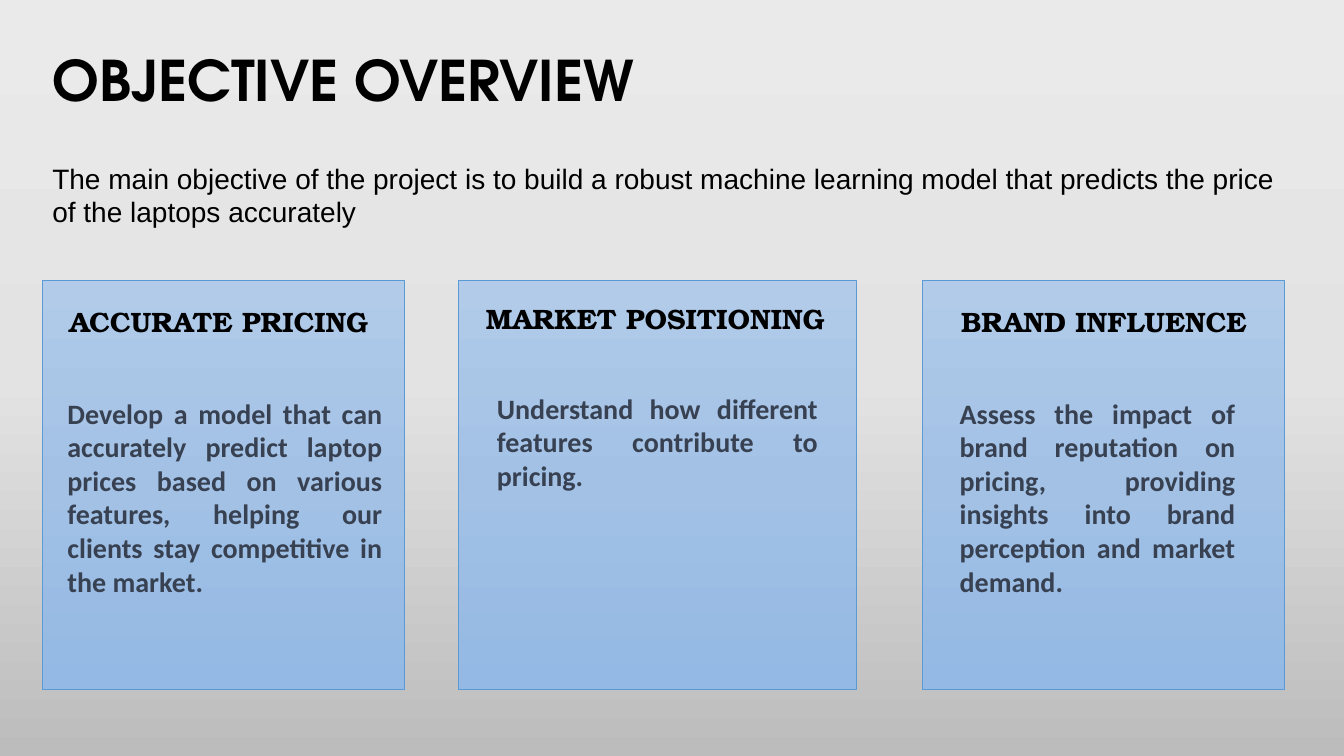
from copy import deepcopy

from pptx import Presentation
from pptx import util as u
from pptx.dml.color import RGBColor
from pptx.enum import shapes, text
from pptx.oxml.ns import qn


def color(value):
    return RGBColor.from_string(value)


class Deck:
    """Holds the style and the current slide."""

    BACKGROUND = ("EBEAEA", "E4E3E3", "BDBCBC")
    CARD = ("B1CBE9", "A3C1E5", "93B9E4")
    BORDER, INK, BODY = "5B9BD5", "000000", "374151"
    TITLE_FONT, INTRO_FONT = "TeX Gyre Adventor", "Arial"
    HEADING_FONT, BODY_FONT = "TeX Gyre Bonum", "Calibri"

    def __init__(self, prs):
        self.s = prs.slides.add_slide(prs.slide_layouts[6])

    def gradient(self, fill, element, colors):
        """Fill from top to bottom with three evenly spaced colours."""
        fill.gradient()
        fill.gradient_angle = 270
        stops = next(element.iter(qn("a:gsLst")))
        stops.insert(1, deepcopy(stops[0]))
        for i, (stop, value) in enumerate(zip(fill.gradient_stops, colors)):
            stop.position = i / 2
            stop.color.rgb = color(value)

    def background(self):
        self.gradient(self.s.background.fill, self.s.element, self.BACKGROUND)

    def card(self, x, y, w, h):
        sp = self.s.shapes.add_shape(
            shapes.MSO_SHAPE.RECTANGLE, *map(u.Inches, (x, y, w, h)))
        sp.shadow.inherit = False
        self.gradient(sp.fill, sp.element, self.CARD)
        sp.line.color.rgb = color(self.BORDER)
        sp.line.width = u.Pt(0.5)

    def text(self, content, x, y, w, h, font, size=20, ink=INK, bold=True,
             align=text.PP_ALIGN.LEFT):
        tf = self.s.shapes.add_textbox(*map(u.Inches, (x, y, w, h))).text_frame
        tf.word_wrap = True
        tf.auto_size = text.MSO_AUTO_SIZE.SHAPE_TO_FIT_TEXT
        p = tf.paragraphs[0]
        p.text = content
        p.alignment = align
        p.font.name = font
        p.font.size = u.Pt(size)
        p.font.bold = bold
        p.font.color.rgb = color(ink)


# Card: left and width; heading and body: left, top, width, height
OBJECTIVES = [
    ("ACCURATE PRICING",
     "Develop a model that can accurately predict laptop prices based on "
     "various features, helping our clients stay competitive in the market.",
     (0.42, 3.59), (0.57, 2.97, 3.2, 0.44), (0.57, 3.88, 3.32, 2.12)),
    ("MARKET POSITIONING",
     "Understand how different features contribute to pricing.",
     (4.55, 3.94), (4.67, 2.94, 3.66, 0.44), (4.83, 3.83, 3.38, 1.11)),
    ("BRAND INFLUENCE",
     "Assess the impact of brand reputation on pricing, providing insights "
     "into brand perception and market demand.",
     (9.15, 3.59), (9.42, 2.97, 3.06, 0.44), (9.42, 3.88, 2.93, 2.12)),
]
CARD_TOP, CARD_HEIGHT = 2.78, 4.06


def main():
    prs = Presentation()
    prs.slide_width, prs.slide_height = u.Inches(13.33), u.Inches(7.5)
    deck = Deck(prs)
    deck.background()

    # Title and introduction
    deck.text("OBJECTIVE OVERVIEW", 0.42, 0.4, 7.23, 0.77,
              deck.TITLE_FONT, size=40)
    deck.text("The main objective of the project is to build a robust machine "
              "learning model that predicts the price of the laptops accurately",
              0.42, 1.55, 12.55, 0.77, deck.INTRO_FONT, bold=False)

    # Objective cards
    for heading, body, (left, width), heading_box, body_box in OBJECTIVES:
        deck.card(left, CARD_TOP, width, CARD_HEIGHT)
        deck.text(heading, *heading_box, deck.HEADING_FONT,
                  align=text.PP_ALIGN.CENTER)
        deck.text(body, *body_box, deck.BODY_FONT, ink=deck.BODY,
                  align=text.PP_ALIGN.JUSTIFY)

    prs.save("out.pptx")


if __name__ == "__main__":
    main()
